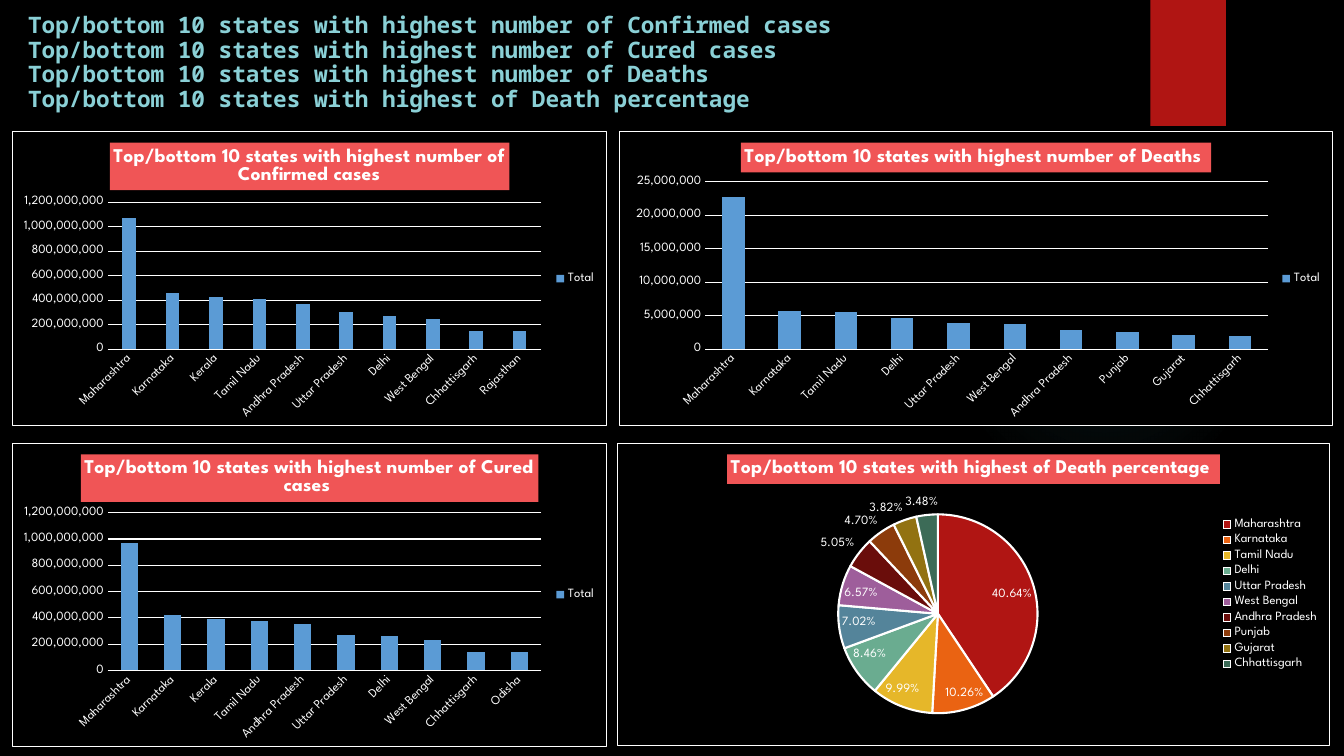
from lxml.etree import SubElement
from pptx import Presentation
from pptx.chart.data import CategoryChartData
from pptx.dml.color import RGBColor
from pptx.enum.chart import (XL_CHART_TYPE as ChartType, XL_LABEL_POSITION as LabelPosition,
                             XL_LEGEND_POSITION as LegendPosition, XL_TICK_MARK as TickMark)
from pptx.enum.shapes import MSO_SHAPE as Shape
from pptx.enum.text import MSO_ANCHOR as Anchor
from pptx.oxml import parse_xml
from pptx.oxml.ns import nsdecls, qn
from pptx.util import Inches, Pt

COLORS = {"black": "000000", "white": "FFFFFF", "red": "B01513", "banner": "F05556",
          "heading": "8AD0D6", "bar": "5B9BD5", "glow": "50B9C1"}
SLICES = ["B01513", "EA6312", "E6B729", "6AAC90", "54849A",
          "9E5E9B", "6A0D0B", "8C3B0B", "927211", "3C6B57"]
CHART_FONT = "League Spartan"

TOP_STATES = ["Maharashtra", "Karnataka", "Kerala", "Tamil Nadu", "Andhra Pradesh",
              "Uttar Pradesh", "Delhi", "West Bengal", "Chhattisgarh"]
DEATH_STATES = ["Maharashtra", "Karnataka", "Tamil Nadu", "Delhi", "Uttar Pradesh",
                "West Bengal", "Andhra Pradesh", "Punjab", "Gujarat", "Chhattisgarh"]
MILLION = 1_000_000
HEADING = ["Top/bottom 10 states with highest number of Confirmed cases",
           "Top/bottom 10 states with highest number of Cured cases",
           "Top/bottom 10 states with highest number of Deaths",
           "Top/bottom 10 states with highest of Death percentage"]

# box and plot are left, top, width, height; plot is in fractions of the chart
BAR_CHARTS = [
    dict(title=HEADING[0], box=(0.12, 1.3, 5.9, 2.93), plot=(0.16, 0.24, 0.73, 0.5),
         states=TOP_STATES + ["Rajasthan"],
         millions=[1070, 460, 430, 410, 370, 300, 270, 250, 150, 150],
         kind=ChartType.COLUMN_CLUSTERED, gap=219, overlap=-27, top=1200, step=200),
    dict(title=HEADING[1] + " ", box=(0.12, 4.39, 5.9, 3.02), plot=(0.16, 0.23, 0.73, 0.52),
         states=TOP_STATES + ["Odisha"],
         millions=[970, 420, 390, 380, 350, 270, 260, 230, 140, 140],
         kind=ChartType.COLUMN_STACKED, gap=150, overlap=100, top=1200, step=200),
    dict(title=HEADING[2] + " ", box=(6.14, 1.3, 7.08, 2.93), plot=(0.12, 0.17, 0.79, 0.57),
         states=DEATH_STATES,
         millions=[22.7, 5.7, 5.6, 4.7, 3.9, 3.7, 2.8, 2.6, 2.1, 1.9],
         kind=ChartType.COLUMN_STACKED, gap=150, overlap=100, top=25, step=5),
]
DEATH_SHARES = [0.4064, 0.1026, 0.0999, 0.0846, 0.0702, 0.0657, 0.0505, 0.047, 0.0382, 0.0348]


def rgb(color):
    return RGBColor.from_string(COLORS.get(color, color))


def paint(fill, color):
    fill.solid()
    fill.fore_color.rgb = rgb(color)


def draw_line(line, color, width=0.75):
    paint(line.fill, color)
    line.width = Pt(width)


def style_font(font, size, color="white", name=CHART_FONT, bold=False):
    font.size, font.name, font.bold = Pt(size), name, bold
    font.color.rgb = rgb(color)


def write_text(frame, text, spacing=None, **font_format):
    paragraph = frame.paragraphs[0]
    paragraph.text = text
    paragraph.line_spacing = spacing
    for run in paragraph.runs:
        style_font(run.font, **font_format)


class Deck:
    def __init__(self):
        self.presentation = Presentation()
        self.presentation.slide_width = Inches(13.33)
        self.presentation.slide_height = Inches(7.5)
        self.slide = self.presentation.slides.add_slide(self.presentation.slide_layouts[6])
        paint(self.slide.background.fill, "black")

    def shape(self, kind, box, color):
        shape = self.slide.shapes.add_shape(kind, *map(Inches, box))
        shape.shadow.inherit = False
        paint(shape.fill, color)
        shape.line.fill.background()
        return shape

    def glow(self, box):
        """Ellipse whose faint colour fades out from its centre."""
        ellipse = self.shape(Shape.OVAL, box, "glow")
        stops = "".join(
            f'<a:gs pos="{pos * 1000}"><a:srgbClr val="{COLORS["glow"]}">'
            f'<a:alpha val="{alpha * 1000}"/></a:srgbClr></a:gs>'
            for pos, alpha in ((0, 7), (36, 6), (69, 0)))
        gradient = parse_xml(
            f'<a:gradFill {nsdecls("a")}><a:gsLst>{stops}</a:gsLst><a:path path="circle">'
            '<a:fillToRect l="50000" t="50000" r="50000" b="50000"/></a:path></a:gradFill>')
        properties = ellipse.element.spPr
        properties.replace(properties.find(qn("a:solidFill")), gradient)

    def heading(self, lines, box):
        frame = self.slide.shapes.add_textbox(*map(Inches, box)).text_frame
        frame.word_wrap = True
        frame.vertical_anchor = Anchor.TOP
        write_text(frame, "\v".join(lines), spacing=0.9, size=16.2, color="heading",
                   name="Noto Sans Mono", bold=True)

    def chart(self, kind, title, box, plot, states, series, values, number_format):
        data = CategoryChartData(number_format=number_format)
        data.categories = states
        data.add_series(series, values)
        chart = self.slide.shapes.add_chart(kind, *map(Inches, box), data).chart
        style_font(chart.font, 10)
        write_text(chart.chart_title.text_frame, title, size=14, bold=True)
        paint(chart.chart_title.format.fill, "banner")
        chart.has_legend = True
        chart.legend.position = LegendPosition.RIGHT
        chart.legend.include_in_layout = False
        style_font(chart.legend.font, 9)
        self.frame_chart(chart)
        self.place_plot(chart, plot)
        return chart

    def frame_chart(self, chart):
        """Black chart area with a thin white border."""
        area = parse_xml(
            f'<c:spPr {nsdecls("c", "a")}><a:solidFill><a:srgbClr val="{COLORS["black"]}"/>'
            f'</a:solidFill><a:ln w="9525"><a:solidFill><a:srgbClr val="{COLORS["white"]}"/>'
            '</a:solidFill></a:ln></c:spPr>')
        chart.element.find(qn("c:chart")).addnext(area)

    def place_plot(self, chart, plot):
        plot_area = chart.element.find(".//" + qn("c:plotArea"))
        layout = plot_area.find(qn("c:layout"))
        if layout is None:
            layout = parse_xml(f'<c:layout {nsdecls("c")}/>')
            plot_area.insert(0, layout)
        manual = SubElement(layout, qn("c:manualLayout"))
        settings = [("layoutTarget", "inner"), ("xMode", "edge"), ("yMode", "edge"),
                    *zip("xywh", plot)]
        for tag, value in settings:
            SubElement(manual, qn(f"c:{tag}")).set("val", str(value))

    def bar_chart(self, kind, title, box, plot, states, millions, gap, overlap, top, step):
        values = [round(value * MILLION) for value in millions]
        chart = self.chart(kind, title, box, plot, states, "Total", values, "#,##0")
        bars = chart.plots[0]
        bars.gap_width, bars.overlap, bars.vary_by_categories = gap, overlap, False
        paint(bars.series[0].format.fill, "bar")
        state_axis, case_axis = chart.category_axis, chart.value_axis
        for axis in (state_axis, case_axis):
            axis.major_tick_mark = axis.minor_tick_mark = TickMark.NONE
            style_font(axis.tick_labels.font, 9)
        draw_line(state_axis.format.line, "white")
        label_body = "/".join(map(qn, ("c:catAx", "c:txPr", "a:bodyPr")))
        chart.element.find(".//" + label_body).set("rot", "-2700000")
        case_axis.format.line.fill.background()
        draw_line(case_axis.major_gridlines.format.line, "white")
        case_axis.minimum_scale = 0
        case_axis.maximum_scale = top * MILLION
        case_axis.major_unit = step * MILLION
        case_axis.tick_labels.number_format = "#,##0"
        case_axis.tick_labels.number_format_is_linked = False

    def pie_chart(self, title, box, plot, states, shares):
        chart = self.chart(ChartType.PIE, title, box, plot, states, "Series 1", shares, "0.00%")
        pie = chart.plots[0]
        pie.vary_by_categories = True
        for index, color in enumerate(SLICES):
            piece = pie.series[0].points[index].format
            paint(piece.fill, color)
            draw_line(piece.line, "white", 1.5)
        labels = pie.series[0].data_labels
        labels.show_value = True
        labels.number_format, labels.number_format_is_linked = "0.00%", False
        labels.position = LabelPosition.BEST_FIT
        style_font(labels.font, 9)


def main():
    deck = Deck()
    deck.glow((9.41, 1.83, 3.08, 3.08))
    deck.shape(Shape.RECTANGLE, (11.41, 0, 0.75, 1.25), "red")
    deck.heading(HEADING, (0.18, 0.09, 11.49, 1.21))
    for settings in BAR_CHARTS:
        deck.bar_chart(**settings)
    deck.pie_chart(HEADING[3] + " ", (6.12, 4.39, 7.07, 3.01), (0.31, 0.23, 0.28, 0.67),
                   DEATH_STATES, DEATH_SHARES)
    deck.presentation.save("out.pptx")


if __name__ == "__main__":
    main()
